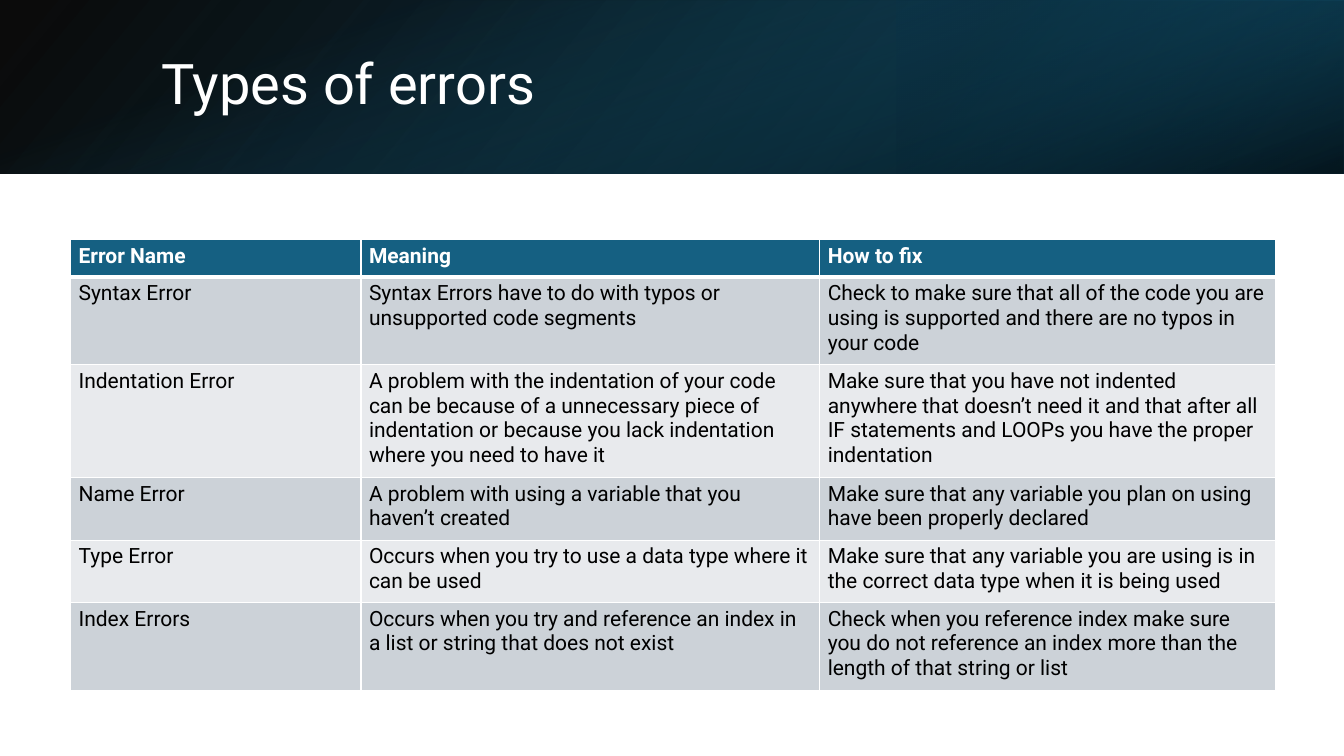
"""Build the slide that lists the types of programming errors."""
from dataclasses import dataclass

from pptx import Presentation
from pptx import util as u
from pptx.dml.color import RGBColor
from pptx.enum import shapes, text
from pptx.oxml import ns
from pptx.oxml import xmlchemy as xml

FONT = "Roboto"
WHITE = RGBColor(0xFF, 0xFF, 0xFF)
BLACK = RGBColor(0x00, 0x00, 0x00)
TEAL = RGBColor(0x15, 0x60, 0x82)
DARK_TEAL = RGBColor(0x10, 0x48, 0x62)
DEEP_TEAL = RGBColor(0x0B, 0x30, 0x41)
GREY = RGBColor(0xCC, 0xD2, 0xD8)
LIGHT_GREY = RGBColor(0xE8, 0xEA, 0xED)


@dataclass(frozen=True)
class Stop:
    position: float
    color: RGBColor
    opacity: int


@dataclass(frozen=True)
class Band:
    left: float
    top: float
    width: float
    height: float
    rotation: int
    flipped: bool
    angle: int
    stops: tuple[Stop, Stop]


@dataclass(frozen=True)
class ErrorRow:
    name: str
    meaning: str
    fix: str
    height: float


BANDS = (
    Band(0, 0, 13.33, 1.72, 0, True, 140,
         (Stop(0, BLACK, 96), Stop(1, DARK_TEAL, 100))),
    Band(8.89, 0, 4.44, 1.72, 180, True, 320,
         (Stop(0.19, DEEP_TEAL, 68), Stop(1, TEAL, 79))),
    Band(5.8, -5.8, 1.72, 13.33, 90, False, 340,
         (Stop(0.23, TEAL, 0), Stop(0.99, BLACK, 74))),
)
COLUMN_WIDTHS = (2.88, 4.55, 4.52)
ROWS = (
    ErrorRow("Error Name", "Meaning", "How to fix", 0.37),
    ErrorRow("Syntax Error",
             "Syntax Errors have to do with typos or unsupported code segments",
             "Check to make sure that all of the code you are using is supported "
             "and there are no typos in your code", 0.87),
    ErrorRow("Indentation Error",
             "A problem with the indentation of your code can be because of a "
             "unnecessary piece of indentation or because you lack indentation "
             "where you need to have it",
             "Make sure that you have not indented anywhere that doesn’t need it "
             "and that after all IF statements and LOOPs you have the proper "
             "indentation", 1.12),
    ErrorRow("Name Error",
             "A problem with using a variable that you haven’t created",
             "Make sure that any variable you plan on using have been properly "
             "declared", 0.62),
    ErrorRow("Type Error",
             "Occurs when you try to use a data type where it can be used",
             "Make sure that any variable you are using is in the correct data "
             "type when it is being used", 0.62),
    ErrorRow("Index Errors",
             "Occurs when you try and reference an index in a list or string "
             "that does not exist",
             "Check when you reference index make sure you do not reference an "
             "index more than the length of that string or list", 0.87),
)


def add_run(paragraph, wording: str, size: float, color: RGBColor, bold: bool) -> None:
    run = paragraph.add_run()
    run.text = wording
    run.font.name = FONT
    run.font.size = u.Pt(size)
    run.font.bold = bold
    run.font.color.rgb = color


def add_band(slide, band: Band) -> None:
    shape = slide.shapes.add_shape(
        shapes.MSO_SHAPE.RECTANGLE, u.Inches(band.left), u.Inches(band.top),
        u.Inches(band.width), u.Inches(band.height))
    shape.shadow.inherit = False
    shape.line.fill.background()
    shape.rotation = band.rotation
    properties = shape._element.spPr
    if band.flipped:
        properties.find(ns.qn("a:xfrm")).set("flipH", "1")
    shape.fill.gradient()
    shape.fill.gradient_angle = 360 - band.angle
    for gradient_stop, stop in zip(shape.fill.gradient_stops, band.stops):
        gradient_stop.position = stop.position
        gradient_stop.color.rgb = stop.color
    for color, stop in zip(properties.iter(ns.qn("a:srgbClr")), band.stops):
        alpha = xml.OxmlElement("a:alpha")
        alpha.set("val", str(stop.opacity * 1000))
        color.append(alpha)


def add_title(slide, wording: str) -> None:
    title = slide.shapes.title
    title.left, title.top = u.Inches(1.5), u.Inches(0.38)
    title.width, title.height = u.Inches(10.98), u.Inches(0.96)
    frame = title.text_frame
    frame.auto_size = text.MSO_AUTO_SIZE.NONE
    frame.word_wrap = True
    frame.vertical_anchor = text.MSO_ANCHOR.MIDDLE
    paragraph = frame.paragraphs[0]
    paragraph.alignment = text.PP_ALIGN.LEFT
    paragraph.line_spacing = 0.9
    add_run(paragraph, wording, 40, WHITE, False)
    slide.shapes._spTree.append(title._element)


def add_border(cell, side: str, width: float) -> None:
    line = xml.OxmlElement(f"a:ln{side}")
    line.set("w", str(u.Pt(width)))
    fill = xml.OxmlElement("a:solidFill")
    color = xml.OxmlElement("a:srgbClr")
    color.set("val", str(WHITE))
    fill.append(color)
    line.append(fill)
    cell._tc.get_or_add_tcPr().append(line)


def fill_cell(cell, wording: str, row_index: int) -> None:
    is_header = row_index == 0
    thick_side = {0: "B", 1: "T"}.get(row_index)
    for side in "LRTB":
        add_border(cell, side, 3 if side == thick_side else 1)
    cell.fill.solid()
    row_color = GREY if row_index % 2 else LIGHT_GREY
    cell.fill.fore_color.rgb = TEAL if is_header else row_color
    cell.margin_left = cell.margin_right = u.Inches(0.08)
    cell.margin_top = cell.margin_bottom = u.Inches(0.04)
    add_run(cell.text_frame.paragraphs[0], wording, 15,
            WHITE if is_header else BLACK, is_header)


def add_error_table(slide, rows: tuple[ErrorRow, ...]) -> None:
    table = slide.shapes.add_table(
        len(rows), len(COLUMN_WIDTHS), u.Inches(0.7), u.Inches(2.38),
        u.Inches(sum(COLUMN_WIDTHS)), u.Inches(sum(row.height for row in rows))).table
    for column, width in zip(table.columns, COLUMN_WIDTHS):
        column.width = u.Inches(width)
    for row_index, row in enumerate(rows):
        table.rows[row_index].height = u.Inches(row.height)
        for column_index, wording in enumerate((row.name, row.meaning, row.fix)):
            fill_cell(table.cell(row_index, column_index), wording, row_index)


def main() -> None:
    presentation = Presentation()
    presentation.slide_width = u.Inches(13.33)
    presentation.slide_height = u.Inches(7.5)
    slide = presentation.slides.add_slide(presentation.slide_layouts.get_by_name("Title Only"))
    slide.background.fill.solid()
    slide.background.fill.fore_color.rgb = WHITE
    for band in BANDS:
        add_band(slide, band)
    add_title(slide, "Types of errors")
    add_error_table(slide, ROWS)
    presentation.save("out.pptx")


if __name__ == "__main__":
    main()
